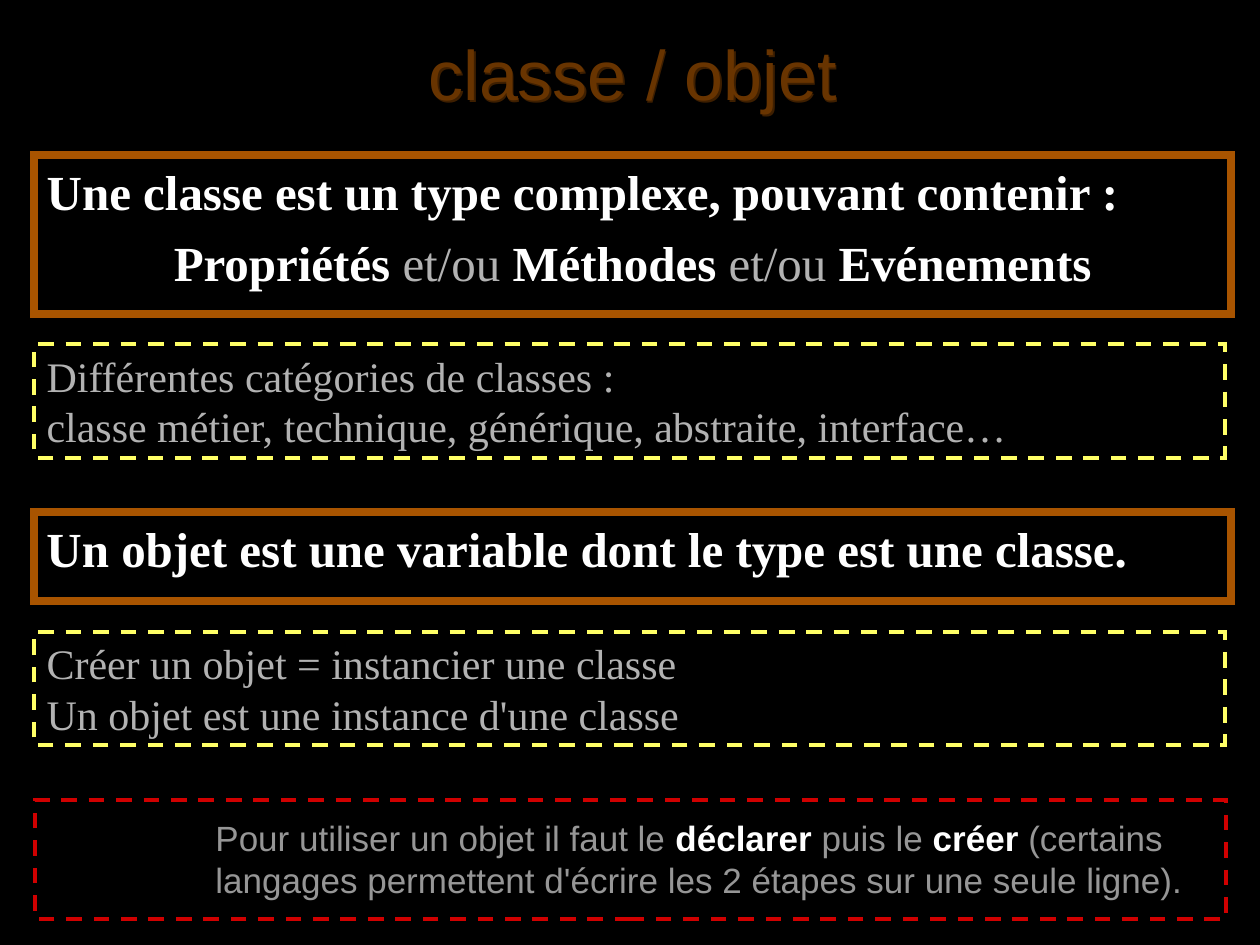
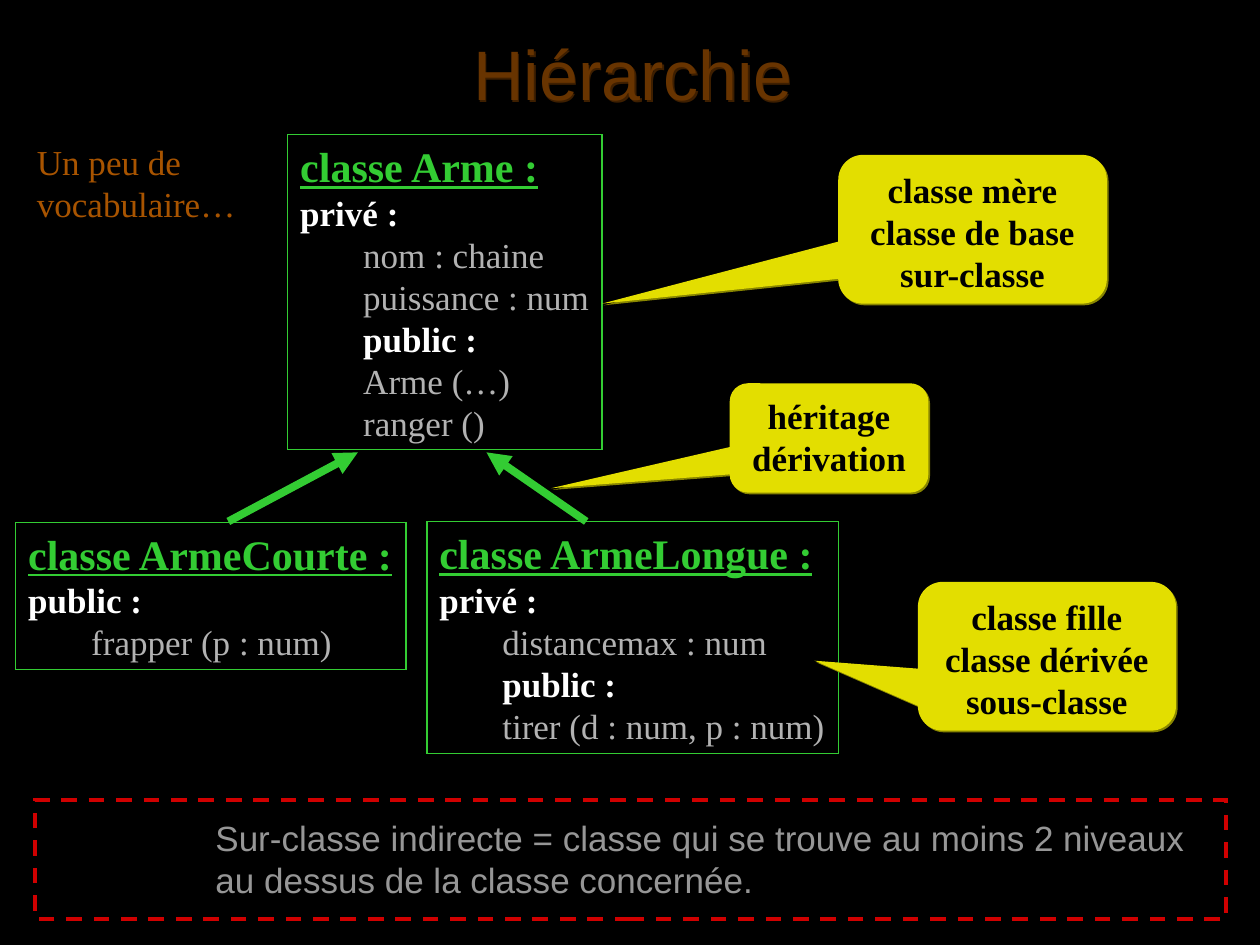
from lxml import etree
from pptx import Presentation
from pptx.dml.color import RGBColor
from pptx.enum import dml, shapes, text
from pptx.oxml import parse_xml
from pptx.util import Pt

COLORS = {
    "background": "000000", "title": "683400", "title_shadow": "3E1F00", "frame": "A85400",
    "strong": "FFFFFF", "plain": "B2B2B2", "note": "969696",
    "detail": "FFFF66", "warning": "D00000", "uml": "33CC33",
    "callout": "E3DE00", "callout_shadow": "888500", "callout_text": "000000",
}
SERIF, SANS = "Times New Roman", "Arial"
STYLES = {
    "title": (40, SANS, "title", False),
    "definition": (28, SERIF, "strong", True),
    "link_word": (28, SERIF, "plain", False),
    "detail": (24, SERIF, "plain", False),
    "note": (20, SANS, "note", False),
    "note_strong": (20, SANS, "strong", True),
    "class_name": (24, SERIF, "uml", True),
    "access": (20, SERIF, "strong", True),
    "member_access": (20, SERIF, "strong", True),
    "member": (20, SERIF, "plain", False),
    "callout": (20, SERIF, "callout_text", True),
    "aside": (20, SERIF, "frame", False),
}
LEFT, CENTER = text.PP_ALIGN.LEFT, text.PP_ALIGN.CENTER
A = "http://schemas.openxmlformats.org/drawingml/2006/main"
SHADOW = (f'<a:outerShdw xmlns:a="{A}" dist="17780" dir="2700000" algn="ctr" rotWithShape="0">'
          '<a:srgbClr val="{}"/></a:outerShdw>')
EDGE, WIDTH = 19.5, 684


def write(shape, paragraphs, align=LEFT, before=0):
    frame = shape.text_frame
    frame.word_wrap = True
    frame.auto_size = text.MSO_AUTO_SIZE.NONE
    frame.vertical_anchor = text.MSO_ANCHOR.TOP
    for number, runs in enumerate(paragraphs):
        paragraph = frame.paragraphs[0] if number == 0 else frame.add_paragraph()
        properties = paragraph._p.get_or_add_pPr()
        member = runs[0][1].startswith("member")
        properties.set("marL", str(Pt(36) if member else 0))
        properties.set("indent", "0")
        paragraph.alignment = align
        paragraph.line_spacing = 1.0
        paragraph.space_before = Pt(before if number else 0)
        etree.SubElement(properties, f"{{{A}}}buNone")
        for words, style in runs:
            run = paragraph.add_run()
            run.text = words
            size, font, color, bold = STYLES[style]
            run.font.size, run.font.name, run.font.bold = Pt(size), font, bold
            run.font.color.rgb = RGBColor.from_string(COLORS[color])
            if style == "class_name":
                run.font.underline = True


def outline(slide, area, color, width, dashed=False, placeholder=None):
    area = [Pt(length) for length in area]
    shape = placeholder or slide.shapes.add_shape(shapes.MSO_SHAPE.RECTANGLE, *area)
    shape.left, shape.top, shape.width, shape.height = area
    shape.fill.background()
    shape.line.color.rgb = RGBColor.from_string(COLORS[color])
    shape.line.width = Pt(width)
    if dashed:
        shape.line.dash_style = dml.MSO_LINE.DASH
    etree.SubElement(shape.line._get_or_add_ln(), f"{{{A}}}miter", lim="800000")
    if placeholder is None:
        shape.shadow.inherit = False
    return shape


deck = Presentation()
deck.slide_width, deck.slide_height = Pt(720), Pt(540)

PAGES = [
    ("classe / objet", 1, [
        ("Pour utiliser un objet il faut le ", "note"), ("déclarer", "note_strong"),
        (" puis le ", "note"), ("créer", "note_strong"),
        (" (certains langages permettent d'écrire les 2 étapes sur une seule ligne).", "note")]),
    ("Hiérarchie", 5, [
        ("Sur-classe indirecte = classe qui se trouve au moins 2 niveaux "
         "au dessus de la classe concernée.", "note")]),
]
slides = []
for heading, layout, remark in PAGES:
    slide = deck.slides.add_slide(deck.slide_layouts[layout])
    slide.background.fill.solid()
    slide.background.fill.fore_color.rgb = RGBColor.from_string(COLORS["background"])
    title = slide.shapes.title
    title.left, title.top, title.width, title.height = Pt(EDGE), Pt(9.5), Pt(WIDTH), Pt(64)
    write(title, [[(heading, "title")]], CENTER)
    title.text_frame.vertical_anchor = text.MSO_ANCHOR.MIDDLE
    title.fill.background()
    title.shadow.inherit = False
    title._element.spPr.find(f"{{{A}}}effectLst").append(
        parse_xml(SHADOW.format(COLORS["title_shadow"])))
    note = slide.shapes.add_textbox(Pt(116), Pt(463), Pt(572.5), Pt(55.5))
    write(note, [remark])
    outline(slide, (20, 457, 680.5, 68), "warning", 2.25, True)
    slides.append(slide)

concepts, hierarchy = slides

class_definition = outline(concepts, (EDGE, 88.5, WIDTH, 91), "frame", 4.5,
                           placeholder=concepts.placeholders[1])
write(class_definition, [
    [("Une classe est un type complexe, pouvant contenir :", "definition")],
    [("Propriétés ", "definition"), ("et/ou", "link_word"), (" Méthodes ", "definition"),
     ("et/ou", "link_word"), (" Evénements", "definition")],
], before=7)
class_definition.text_frame.paragraphs[1].alignment = CENTER

object_definition = outline(concepts, (EDGE, 292.5, WIDTH, 51), "frame", 4.5)
write(object_definition, [[("Un objet est une variable dont le type est une classe.", "definition")]])

DETAILS = [
    (196.5, ["Différentes catégories de classes :",
             "classe métier, technique, générique, abstraite, interface…"]),
    (361, ["Créer un objet = instancier une classe",
           "Un objet est une instance d'une classe"]),
]
for top, lines in DETAILS:
    details = outline(concepts, (EDGE, top, 680.5, 65), "detail", 2.25, True)
    write(details, [[(line, "detail")] for line in lines])

CLASSES = [
    ((164.5, 77, 179.5, 180), [
        ("classe Arme :", "class_name"), ("privé :", "access"),
        ("nom : chaine", "member"), ("puissance : num", "member"),
        ("public :", "member_access"), ("Arme (…)", "member"), ("ranger ()", "member")]),
    ((9, 298.5, 223, 84), [
        ("classe ArmeCourte :", "class_name"), ("public :", "access"),
        ("frapper (p : num)", "member")]),
    ((244, 298, 235, 132.5), [
        ("classe ArmeLongue :", "class_name"), ("privé :", "access"),
        ("distancemax : num", "member"), ("public :", "member_access"),
        ("tirer (d : num, p : num)", "member")]),
]
for area, lines in CLASSES:
    class_box = outline(hierarchy, area, "uml", 0.75)
    write(class_box, [[line] for line in lines])
    class_box.text_frame.margin_right = Pt(0)

for child_x, parent_x in [(130.5, 204.5), (335, 278)]:
    inheritance = hierarchy.shapes.add_connector(
        shapes.MSO_CONNECTOR.STRAIGHT, Pt(child_x), Pt(298), Pt(parent_x), Pt(258.5))
    inheritance.line.color.rgb = RGBColor.from_string(COLORS["uml"])
    inheritance.line.width = Pt(4.5)
    etree.SubElement(inheritance.line._get_or_add_ln(), f"{{{A}}}tailEnd", type="triangle")
    etree.SubElement(inheritance._element.spPr, f"{{{A}}}effectLst")

CALLOUTS = [
    ((479, 88.5, 153.5, 85), (-1.38, 0.5), ["classe mère", "classe de base", "sur-classe"]),
    ((417, 219, 113.5, 62.5), (-1.4, 0.46), ["héritage", "dérivation"]),
    ((524.5, 332.5, 147.5, 85), (-0.9, 0.03), ["classe fille", "classe dérivée", "sous-classe"]),
]
for area, pointer, lines in CALLOUTS:
    callout = hierarchy.shapes.add_shape(
        shapes.MSO_SHAPE.ROUNDED_RECTANGULAR_CALLOUT, *[Pt(length) for length in area])
    callout.adjustments[0], callout.adjustments[1] = pointer
    callout.fill.solid()
    callout.fill.fore_color.rgb = RGBColor.from_string(COLORS["callout"])
    callout.line.fill.background()
    callout.shadow.inherit = False
    callout._element.spPr.find(f"{{{A}}}effectLst").append(
        parse_xml(SHADOW.format(COLORS["callout_shadow"])))
    write(callout, [[(line, "callout")] for line in lines], CENTER)

vocabulary = hierarchy.shapes.add_textbox(Pt(14), Pt(77), Pt(132), Pt(55.5))
write(vocabulary, [[("Un peu de vocabulaire…", "aside")]])

deck.save("out.pptx")
